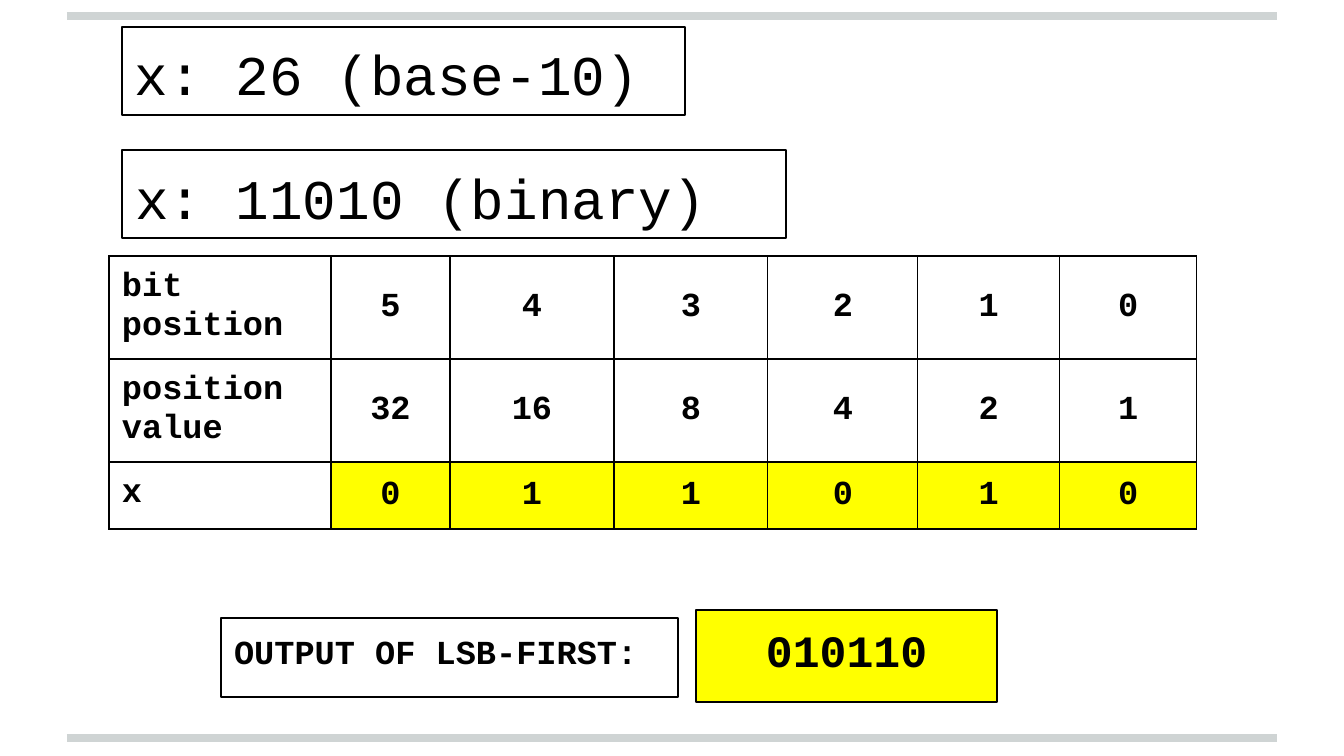
from lxml import etree
from pptx import Presentation
from pptx.dml.color import RGBColor
from pptx.enum.shapes import MSO_CONNECTOR, MSO_SHAPE
from pptx.enum.text import MSO_ANCHOR, PP_ALIGN
from pptx.oxml.ns import qn
from pptx.util import Pt

LEFT, CENTER = PP_ALIGN.LEFT, PP_ALIGN.CENTER
TOP, MIDDLE = MSO_ANCHOR.TOP, MSO_ANCHOR.MIDDLE
RECTANGLE, STRAIGHT = MSO_SHAPE.RECTANGLE, MSO_CONNECTOR.STRAIGHT
COLORS = {"ink": "000000", "rule": "CFD4D4", "highlight": "FFFF00"}
FONT = "Courier New"
EMU_PER_PX = 914400 / 134.4
BORDER = Pt(0.75)


def px(length):
    return round(length * EMU_PER_PX)


def format_paragraph(paragraph, size, bold, align):
    paragraph.alignment = align
    paragraph.font.name = FONT
    paragraph.font.size = Pt(size)
    paragraph.font.bold = bold
    paragraph.font.color.rgb = RGBColor.from_string(COLORS["ink"])


prs = Presentation()
prs.slide_width, prs.slide_height = px(1344), px(756)
slide = prs.slides.add_slide(prs.slide_layouts[6])
inset = px(13)

# Rules at the top and bottom of the slide
for y in (738, 16):
    rule = slide.shapes.add_connector(STRAIGHT, px(67), px(y), px(1277), px(y))
    rule.line.color.rgb = RGBColor.from_string(COLORS["rule"])
    rule.line.width = Pt(4)
    etree.SubElement(rule._element.spPr, qn("a:effectLst"))

# Boxed statements: text, left, top, width, height, size, bold, align, fill
statements = [
    ("x: 26 (base-10)", 122, 27, 563, 88, 30, False, LEFT, None),
    ("x: 11010 (binary)", 122, 150, 664, 88, 30, False, LEFT, None),
    ("OUTPUT OF LSB-FIRST:", 221, 618, 457, 79, 18, True, LEFT, None),
    ("010110", 696, 610, 301, 92, 24, True, CENTER, "highlight"),
]
for text, left, top, width, height, size, bold, align, fill in statements:
    box = slide.shapes.add_shape(RECTANGLE, px(left), px(top), px(width), px(height))
    box.shadow.inherit = False
    if fill:
        box.fill.solid()
        box.fill.fore_color.rgb = RGBColor.from_string(COLORS[fill])
    else:
        box.fill.background()
    box.line.color.rgb = RGBColor.from_string(COLORS["ink"])
    box.line.width = BORDER
    frame = box.text_frame
    frame.word_wrap = True
    frame.vertical_anchor = TOP
    frame.margin_left = frame.margin_right = inset
    frame.margin_top = frame.margin_bottom = inset
    frame.text = text
    format_paragraph(frame.paragraphs[0], size, bold, align)

# Bit table
bit_rows = [
    ["bit position", "5", "4", "3", "2", "1", "0"],
    ["position value", "32", "16", "8", "4", "2", "1"],
    ["x", "0", "1", "1", "0", "1", "0"],
]
column_widths = [222, 119, 164, 154, 150, 142, 137]
row_heights = [103, 103, 67]
bits = slide.shapes.add_table(
    len(bit_rows), len(column_widths), px(109), px(256),
    px(sum(column_widths)), px(sum(row_heights))).table
bits.first_row = bits.horz_banding = False
for column, width in zip(bits.columns, column_widths):
    column.width = px(width)
for row, height in zip(bits.rows, row_heights):
    row.height = px(height)

for r, values in enumerate(bit_rows):
    for c, value in enumerate(values):
        is_label = c == 0
        cell = bits.cell(r, c)
        cell.text = value
        cell.margin_left = cell.margin_right = inset
        cell.margin_top = cell.margin_bottom = inset
        cell.vertical_anchor = TOP if is_label else MIDDLE
        format_paragraph(cell.text_frame.paragraphs[0], 18, True,
                         LEFT if is_label else CENTER)
        cell_properties = cell._tc.get_or_add_tcPr()
        for side in ("a:lnL", "a:lnR", "a:lnT", "a:lnB"):
            edge = etree.SubElement(cell_properties, qn(side), w=str(BORDER))
            edge_fill = etree.SubElement(edge, qn("a:solidFill"))
            etree.SubElement(edge_fill, qn("a:srgbClr"), val=COLORS["ink"])
        if r == 2 and not is_label:
            cell.fill.solid()
            cell.fill.fore_color.rgb = RGBColor.from_string(COLORS["highlight"])
        else:
            cell.fill.background()

prs.save("out.pptx")
